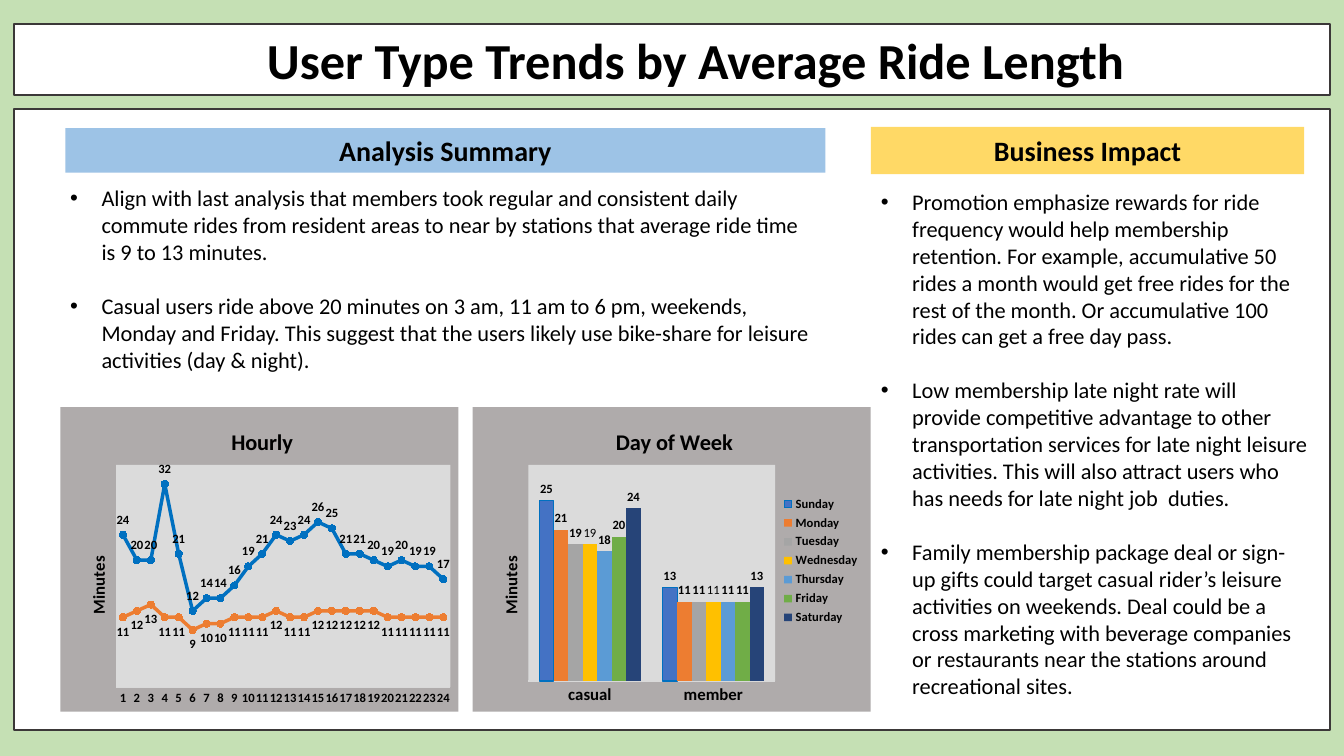
from dataclasses import dataclass
from typing import Optional

from lxml.etree import SubElement
from pptx import Presentation
from pptx.chart.chart import Chart
from pptx.chart.data import CategoryChartData
from pptx.dml.color import RGBColor
from pptx.enum.chart import XL_CHART_TYPE, XL_LABEL_POSITION, XL_LEGEND_POSITION, XL_MARKER_STYLE, XL_TICK_MARK
from pptx.enum.shapes import MSO_SHAPE
from pptx.enum.text import MSO_ANCHOR, PP_ALIGN
from pptx.oxml import parse_xml
from pptx.oxml.ns import nsdecls, qn
from pptx.slide import Slide
from pptx.util import Cm, Pt

FONT = "Calibri"
BLACK = RGBColor(0x00, 0x00, 0x00)
WHITE = RGBColor(0xFF, 0xFF, 0xFF)
LIGHT_GREEN = RGBColor(0xC5, 0xE0, 0xB4)
CHARCOAL = RGBColor(0x3B, 0x38, 0x38)
LIGHT_BLUE = RGBColor(0x9D, 0xC3, 0xE6)
LIGHT_YELLOW = RGBColor(0xFF, 0xD9, 0x66)
CHART_GREY = RGBColor(0xAF, 0xAB, 0xAB)
PLOT_GREY = RGBColor(0xDB, 0xDB, 0xDB)
AXIS_GREY = RGBColor(0xD9, 0xD9, 0xD9)
DEEP_BLUE = RGBColor(0x00, 0x70, 0xC0)
BLUE = RGBColor(0x44, 0x72, 0xC4)
ORANGE = RGBColor(0xED, 0x7D, 0x31)
GREY = RGBColor(0xA5, 0xA5, 0xA5)
GOLD = RGBColor(0xFF, 0xC0, 0x00)
SKY = RGBColor(0x5B, 0x9B, 0xD5)
GREEN = RGBColor(0x70, 0xAD, 0x47)
NAVY = RGBColor(0x26, 0x44, 0x78)


@dataclass(frozen=True)
class Box:
    left: float
    top: float
    width: float
    height: float

    def lengths(self) -> tuple[Cm, Cm, Cm, Cm]:
        return Cm(self.left), Cm(self.top), Cm(self.width), Cm(self.height)


@dataclass(frozen=True)
class Panel:
    box: Box
    fill: RGBColor
    text: str = ""
    size: float = 20
    outline: Optional[RGBColor] = None
    left_margin: float = 0.25


@dataclass(frozen=True)
class BulletList:
    box: Box
    items: tuple[str, ...]


@dataclass(frozen=True)
class Series:
    name: str
    values: tuple[int, ...]
    color: RGBColor
    label_position: XL_LABEL_POSITION = XL_LABEL_POSITION.OUTSIDE_END
    bold_labels: bool = True
    outline: Optional[RGBColor] = None


@dataclass(frozen=True)
class ChartPanel:
    title: str
    title_left: float
    left: float
    kind: XL_CHART_TYPE
    categories: tuple[str, ...]
    series: tuple[Series, ...]
    plot_size: tuple[float, float]
    maximum: int
    category_size: float
    legend: bool = False


PANELS = (
    Panel(Box(0.36, 0.61, 33.15, 1.78), WHITE, "User Type Trends by Average Ride Length", 36, CHARCOAL, 1.45),
    Panel(Box(0.36, 2.74, 33.15, 15.65), WHITE, outline=CHARCOAL),
    Panel(Box(1.65, 3.23, 19.15, 1.12), LIGHT_BLUE, "Analysis Summary"),
    Panel(Box(21.95, 3.2, 10.92, 1.19), LIGHT_YELLOW, "Business Impact"),
)

BULLET_LISTS = (
    BulletList(Box(1.52, 4.52, 19.28, 5.74), (
        "Align with last analysis that members took regular and consistent daily commute rides from resident areas "
        "to near by stations that average ride time is 9 to 13 minutes.",
        "Casual users ride above 20 minutes on 3 am, 11 am to 6 pm, weekends, Monday and Friday. This suggest that "
        "the users likely use bike-share for leisure activities (day & night).",
    )),
    BulletList(Box(21.95, 4.62, 11.28, 13.26), (
        "Promotion emphasize rewards for ride frequency would help membership retention. For example, accumulative "
        "50 rides a month would get free rides for the rest of the month. Or accumulative 100 rides can get a free "
        "day pass.",
        "Low membership late night rate will provide competitive advantage to other transportation services for "
        "late night leisure activities. This will also attract users who has needs for late night job  duties.",
        "Family membership package deal or sign-up gifts could target casual rider’s leisure activities on "
        "weekends. Deal could be a cross marketing with beverage companies or restaurants near the stations around "
        "recreational sites.",
    )),
)

CHARTS = (
    ChartPanel("Hourly", 0.42, 1.52, XL_CHART_TYPE.LINE_MARKERS, tuple(str(hour) for hour in range(1, 25)), (
        Series("Series 1", (24, 20, 20, 32, 21, 12, 14, 14, 16, 19, 21, 24, 23, 24, 26, 25, 21, 21, 20, 19, 20, 19,
                            19, 17), DEEP_BLUE, XL_LABEL_POSITION.ABOVE),
        Series("Series 2", (11, 12, 13, 11, 11, 9, 10, 10, 11, 11, 11, 12, 11, 11, 12, 12, 12, 12, 12, 11, 11, 11,
                            11, 11), ORANGE, XL_LABEL_POSITION.BELOW),
    ), (0.84, 0.73), 35, 9),
    ChartPanel("Day of Week", 0.35, 11.91, XL_CHART_TYPE.COLUMN_CLUSTERED, ("casual", "member"), (
        Series("Sunday", (25, 13), BLUE, outline=DEEP_BLUE),
        Series("Monday", (21, 11), ORANGE),
        Series("Tuesday", (19, 11), GREY),
        Series("Wednesday", (19, 11), GOLD, bold_labels=False),
        Series("Thursday", (18, 11), SKY),
        Series("Friday", (20, 11), GREEN),
        Series("Saturday", (24, 13), NAVY),
    ), (0.62, 0.71), 30, 12, legend=True),
)


def format_font(font, *, size: float, bold: bool = False) -> None:
    font.name = FONT
    font.size = Pt(size)
    font.bold = bold
    font.color.rgb = BLACK


def write_text(paragraph, text: str, *, size: float, bold: bool = False) -> None:
    run = paragraph.add_run()
    run.text = text
    format_font(run.font, size=size, bold=bold)


def add_panel(slide: Slide, panel: Panel) -> None:
    shape = slide.shapes.add_shape(MSO_SHAPE.RECTANGLE, *panel.box.lengths())
    shape.shadow.inherit = False
    shape.fill.solid()
    shape.fill.fore_color.rgb = panel.fill
    if panel.outline:
        shape.line.color.rgb = panel.outline
        shape.line.width = Pt(1.5)
    else:
        shape.line.fill.background()
    if panel.text:
        frame = shape.text_frame
        frame.word_wrap = True
        frame.vertical_anchor = MSO_ANCHOR.MIDDLE
        frame.margin_left = Cm(panel.left_margin)
        frame.paragraphs[0].alignment = PP_ALIGN.CENTER
        write_text(frame.paragraphs[0], panel.text, size=panel.size, bold=True)


def add_bullet_list(slide: Slide, bullet_list: BulletList) -> None:
    frame = slide.shapes.add_textbox(*bullet_list.box.lengths()).text_frame
    frame.word_wrap = True
    for index, item in enumerate(bullet_list.items):
        paragraph = frame.add_paragraph() if index else frame.paragraphs[0]
        paragraph.space_before = Pt(19.4 if index else 0)
        write_text(paragraph, item, size=16)
        properties = paragraph._p.get_or_add_pPr()
        properties.set("marL", str(Cm(0.79)))
        properties.set("indent", str(Cm(-0.79)))
        SubElement(properties, qn("a:buFont"), typeface="Arial")
        SubElement(properties, qn("a:buChar"), char="•")


def place(element, index: int, **position: float) -> None:
    current = element.find(qn("c:layout"))
    if current is not None:
        element.remove(current)
    layout = parse_xml(f"<c:layout {nsdecls('c')}><c:manualLayout/></c:layout>")
    settings = {"xMode": "edge", "yMode": "edge", **position}
    if index == 0:
        settings = {"layoutTarget": "inner", **settings}
    for name, value in settings.items():
        SubElement(layout[0], qn(f"c:{name}"), val=str(value))
    element.insert(index, layout)


def area_fill(color: RGBColor):
    return parse_xml(f'<c:spPr {nsdecls("c", "a")}><a:solidFill><a:srgbClr val="{color}"/></a:solidFill>'
                     "<a:ln><a:noFill/></a:ln></c:spPr>")


def style_series(chart: Chart, details: ChartPanel) -> None:
    for series, style in zip(chart.plots[0].series, details.series):
        if details.kind == XL_CHART_TYPE.LINE_MARKERS:
            series.smooth = False
            series.format.line.color.rgb = style.color
            series.format.line.width = Pt(2.5)
            series.marker.style = XL_MARKER_STYLE.CIRCLE
            series.marker.size = 5
            series.marker.format.line.color.rgb = style.color
            filled = series.marker.format.fill
        else:
            filled = series.format.fill
        filled.solid()
        filled.fore_color.rgb = style.color
        if style.outline:
            series.format.line.color.rgb = style.outline
            series.format.line.width = Pt(0.75)
        labels = series.data_labels
        labels.show_value = True
        labels.position = style.label_position
        labels.number_format = "#,##0"
        labels.number_format_is_linked = False
        format_font(labels.font, size=9, bold=style.bold_labels)


def add_chart_panel(slide: Slide, details: ChartPanel) -> None:
    data = CategoryChartData()
    data.categories = details.categories
    for series in details.series:
        data.add_series(series.name, series.values)
    box = Box(details.left, 10.26, 10.03, 7.67)
    chart = slide.shapes.add_chart(details.kind, *box.lengths(), data).chart
    format_font(chart.font, size=10)
    chart.plots[0].vary_by_categories = False
    if details.kind == XL_CHART_TYPE.COLUMN_CLUSTERED:
        chart.plots[0].gap_width = 150
    style_series(chart, details)

    chart.has_title = True
    write_text(chart.chart_title.text_frame.paragraphs[0], details.title, size=16, bold=True)
    place(chart.chart_title.element, 1, x=details.title_left, y=0.05)

    value_axis = chart.value_axis
    value_axis.minimum_scale, value_axis.maximum_scale = 0, details.maximum
    value_axis.has_major_gridlines = False
    value_axis.visible = False
    write_text(value_axis.axis_title.text_frame.paragraphs[0], "Minutes", size=12, bold=True)
    value_axis.axis_title.text_frame._txBody.bodyPr.set("rot", "-5400000")
    place(value_axis.axis_title.element, 1, x=0.06, y=0.48)

    category_axis = chart.category_axis
    category_axis.major_tick_mark = XL_TICK_MARK.NONE
    category_axis.format.line.color.rgb = AXIS_GREY
    category_axis.format.line.width = Pt(0.75)
    format_font(category_axis.tick_labels.font, size=details.category_size, bold=True)

    chart.has_legend = details.legend
    if details.legend:
        chart.legend.position = XL_LEGEND_POSITION.RIGHT
        chart.legend.include_in_layout = False
        format_font(chart.legend.font, size=9, bold=True)
        place(chart.element.find(f".//{qn('c:legend')}"), 1, x=0.77, y=0.28, w=0.21, h=0.45)

    plot_area = chart.element.find(f".//{qn('c:plotArea')}")
    width, height = details.plot_size
    place(plot_area, 0, x=0.14, y=0.19, w=width, h=height)
    plot_area.append(area_fill(PLOT_GREY))
    chart.element.find(qn("c:chart")).addnext(area_fill(CHART_GREY))


def main() -> None:
    presentation = Presentation()
    presentation.slide_width, presentation.slide_height = Cm(33.87), Cm(19.05)
    slide = presentation.slides.add_slide(presentation.slide_layouts[6])
    slide.background.fill.solid()
    slide.background.fill.fore_color.rgb = LIGHT_GREEN
    for panel in PANELS:
        add_panel(slide, panel)
    for details in CHARTS:
        add_chart_panel(slide, details)
    for bullet_list in BULLET_LISTS:
        add_bullet_list(slide, bullet_list)
    presentation.save("out.pptx")


if __name__ == "__main__":
    main()
